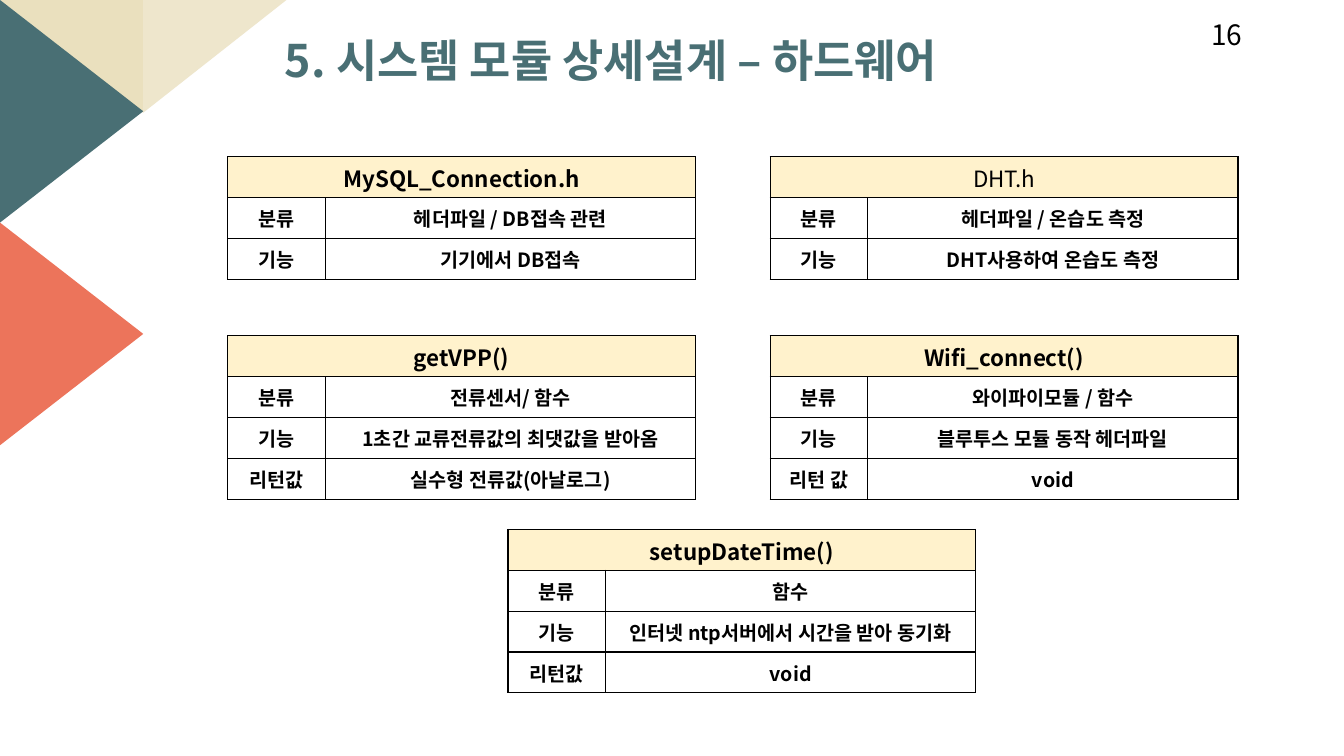
from dataclasses import dataclass

import pptx
import pptx.dml.color
import pptx.enum.shapes
import pptx.enum.text
import pptx.oxml
import pptx.oxml.ns
import pptx.util
from pptx.util import Cm

SHAPE = pptx.enum.shapes.MSO_SHAPE
ANCHOR = pptx.enum.text.MSO_ANCHOR
ALIGN = pptx.enum.text.PP_ALIGN


@dataclass(frozen=True)
class Theme:
    font: str = "Noto Sans CJK KR"
    teal: str = "496F74"
    coral: str = "EC745B"
    sand: str = "EAE0BE"
    light_sand: str = "EEE6CC"
    header: str = "FFF2CC"
    white: str = "FFFFFF"
    black: str = "000000"
    title_size: int = 32
    number_size: int = 20
    header_size: int = 16
    body_size: int = 14


THEME = Theme()

LEFT_COLUMN, MIDDLE_COLUMN, RIGHT_COLUMN = 5.74, 12.8, 19.41
TOP_ROW, SECOND_ROW, BOTTOM_ROW = 3.95, 8.46, 13.34
LABEL_WIDTH, VALUE_WIDTH, ROW_HEIGHT = 2.46, 9.33, 1.03

# left, top, title, title is bold, rows
MODULES = [
    (LEFT_COLUMN, TOP_ROW, "MySQL_Connection.h", True,
     [("분류", "헤더파일 / DB접속 관련"), ("기능", "기기에서 DB접속")]),
    (LEFT_COLUMN, SECOND_ROW, "getVPP()", True,
     [("분류", "전류센서/ 함수"),
      ("기능", "1초간 교류전류값의 최댓값을 받아옴"),
      ("리턴값", "실수형 전류값(아날로그)")]),
    (RIGHT_COLUMN, TOP_ROW, "DHT.h", False,
     [("분류", "헤더파일 / 온습도 측정"), ("기능", "DHT사용하여 온습도 측정")]),
    (RIGHT_COLUMN, SECOND_ROW, "Wifi_connect()", True,
     [("분류", "와이파이모듈 / 함수"),
      ("기능", "블루투스 모듈 동작 헤더파일"),
      ("리턴 값", "void")]),
    (MIDDLE_COLUMN, BOTTOM_ROW, "setupDateTime()", True,
     [("분류", "함수"),
      ("기능", "인터넷 ntp서버에서 시간을 받아 동기화"),
      ("리턴값", "void")]),
]


def rgb(color):
    return pptx.dml.color.RGBColor.from_string(color)


def set_font(paragraph, size, color, bold):
    paragraph.font.name = THEME.font
    paragraph.font.size = pptx.util.Pt(size)
    paragraph.font.color.rgb = rgb(color)
    paragraph.font.bold = bold


def add_triangle(slide, kind, left, top, width, height, rotation, color):
    """Add a triangle whose bounds, after rotation, are those given."""
    frame_width, frame_height = (
        (height, width) if rotation % 180 else (width, height))
    shape = slide.shapes.add_shape(
        kind,
        Cm(left + (width - frame_width) / 2),
        Cm(top + (height - frame_height) / 2),
        Cm(frame_width), Cm(frame_height))
    shape.rotation = rotation
    shape.shadow.inherit = False
    shape.fill.solid()
    shape.fill.fore_color.rgb = rgb(color)
    shape.line.fill.background()


def add_text(slide, text, left, top, width, height, size, color, bold):
    box = slide.shapes.add_textbox(Cm(left), Cm(top), Cm(width), Cm(height))
    frame = box.text_frame
    frame.word_wrap = True
    frame.vertical_anchor = ANCHOR.MIDDLE
    paragraph = frame.paragraphs[0]
    paragraph.text = text
    paragraph.line_spacing = 0.9
    set_font(paragraph, size, color, bold)


def add_borders(cell):
    """Draw all four edges; they must come before the cell's fill."""
    properties = cell._tc.get_or_add_tcPr()
    for index, edge in enumerate(("lnL", "lnR", "lnT", "lnB")):
        properties.insert(index, pptx.oxml.parse_xml(
            f'<a:{edge} {pptx.oxml.ns.nsdecls("a")} w="12700"><a:solidFill>'
            f'<a:srgbClr val="{THEME.black}"/></a:solidFill></a:{edge}>'))


def fill_cell(cell, text, size, bold, color):
    cell.fill.solid()
    cell.fill.fore_color.rgb = rgb(color)
    add_borders(cell)
    cell.vertical_anchor = ANCHOR.MIDDLE
    paragraph = cell.text_frame.paragraphs[0]
    paragraph.text = text
    paragraph.alignment = ALIGN.CENTER
    set_font(paragraph, size, THEME.black, bold)


def add_module_table(slide, left, top, title, title_bold, rows):
    row_count = len(rows) + 1
    table = slide.shapes.add_table(
        row_count, 2, Cm(left), Cm(top),
        Cm(LABEL_WIDTH + VALUE_WIDTH), Cm(ROW_HEIGHT * row_count)).table
    table.columns[0].width = Cm(LABEL_WIDTH)
    table.columns[1].width = Cm(VALUE_WIDTH)
    for row in table.rows:
        row.height = Cm(ROW_HEIGHT)

    table.cell(0, 0).merge(table.cell(0, 1))
    fill_cell(table.cell(0, 0), title, THEME.header_size, title_bold,
              THEME.header)
    add_borders(table.cell(0, 1))
    for row_index, texts in enumerate(rows, start=1):
        for column_index, text in enumerate(texts):
            fill_cell(table.cell(row_index, column_index), text,
                      THEME.body_size, True, THEME.white)


def add_corner_decoration(slide):
    width, sand_height, side_height = 3.61, 2.84, 5.61
    add_triangle(slide, SHAPE.RIGHT_TRIANGLE, 0, 0, width, sand_height,
                 180, THEME.sand)
    add_triangle(slide, SHAPE.RIGHT_TRIANGLE, width, 0, width, sand_height,
                 90, THEME.light_sand)
    for index, color in enumerate((THEME.teal, THEME.coral)):
        add_triangle(slide, SHAPE.ISOSCELES_TRIANGLE, 0, index * side_height,
                     width, side_height, 90, color)


def main():
    presentation = pptx.Presentation()
    presentation.slide_width = Cm(33.87)
    presentation.slide_height = Cm(19.05)
    slide = presentation.slides.add_slide(presentation.slide_layouts[6])

    add_corner_decoration(slide)
    add_text(slide, "5. 시스템 모듈 상세설계 – 하드웨어", 6.93, 0.84, 20.75, 1.5,
             THEME.title_size, THEME.teal, True)
    for module in MODULES:
        add_module_table(slide, *module)
    add_text(slide, "16", 30.28, 0.41, 3.28, 1.02,
             THEME.number_size, THEME.black, False)

    presentation.save("out.pptx")


if __name__ == "__main__":
    main()
